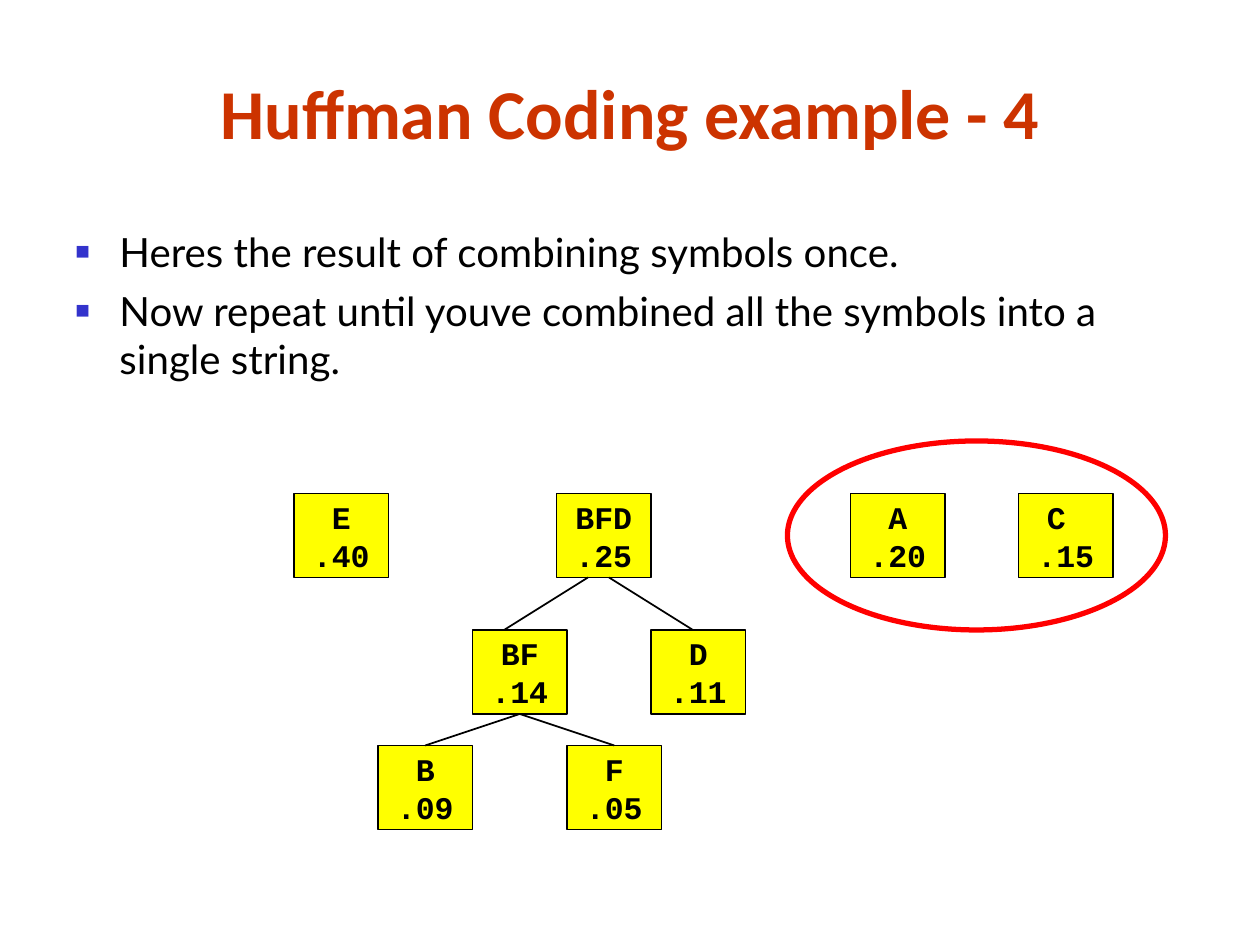
"""Build the Huffman coding slide: a title, two bullets and the partly merged symbol tree."""
from lxml import etree
from pptx import Presentation
from pptx.dml.color import RGBColor
from pptx.enum.shapes import MSO_CONNECTOR, MSO_SHAPE
from pptx.enum.text import MSO_ANCHOR, PP_ALIGN
from pptx.oxml.ns import qn
from pptx.util import Pt

RECTANGLE, OVAL = MSO_SHAPE.RECTANGLE, MSO_SHAPE.OVAL
STRAIGHT = MSO_CONNECTOR.STRAIGHT
MIDDLE, TOP = MSO_ANCHOR.MIDDLE, MSO_ANCHOR.TOP
CENTER, LEFT = PP_ALIGN.CENTER, PP_ALIGN.LEFT
BLACK = RGBColor(0, 0, 0)
RED = RGBColor(0xFF, 0, 0)
YELLOW = RGBColor(0xFF, 0xFF, 0)
RUST = RGBColor(0xCC, 0x33, 0)
BULLET_BLUE = "3333CC"

TITLE = "Huffman Coding example - 4"
BULLETS = [
    "Heres the result of combining symbols once.",
    "Now repeat until youve combined all the symbols into a single string.",
]
ROW_TOPS = [282, 360, 426]
NODE_WIDTH, NODE_HEIGHT = 54, 48
NODES = [
    ("C ", ".15", 582, 0),
    ("A", ".20", 486, 0),
    ("E", ".40", 168, 0),
    ("BFD", ".25", 318, 0),
    ("D", ".11", 372, 1),
    ("BF", ".14", 270, 1),
    ("F", ".05", 324, 2),
    ("B", ".09", 216, 2),
]
JOINED_BRANCHES = [("BF", "B"), ("BF", "F")]
LOOSE_BRANCHES = [((348, 330), (396, 360)), ((336, 330), (288, 360))]
NEXT_PAIR = (450, 252, 216, 108)


def add_run(paragraph, text, font, size, color, bold=False):
    run = paragraph.add_run()
    run.text = text
    run.font.name, run.font.size, run.font.bold = font, Pt(size), bold
    run.font.color.rgb = color


def add_bullet(paragraph):
    properties = paragraph._p.get_or_add_pPr()
    properties.set("marL", str(Pt(25.2)))
    properties.set("indent", str(-Pt(25.2)))
    color = etree.SubElement(properties, qn("a:buClr"))
    etree.SubElement(color, qn("a:srgbClr"), val=BULLET_BLUE)
    etree.SubElement(properties, qn("a:buSzPct"), val="60000")
    etree.SubElement(properties, qn("a:buFont"), typeface="Arial")
    etree.SubElement(properties, qn("a:buChar"), char="■")


def add_node(slide, symbol, weight, left, row):
    node = slide.shapes.add_shape(
        RECTANGLE, Pt(left), Pt(ROW_TOPS[row]), Pt(NODE_WIDTH), Pt(NODE_HEIGHT))
    node.shadow.inherit = False
    node.fill.solid()
    node.fill.fore_color.rgb = YELLOW
    node.line.color.rgb, node.line.width = BLACK, Pt(1)
    frame = node.text_frame
    frame.word_wrap, frame.vertical_anchor = False, MIDDLE
    for paragraph, text in ((frame.paragraphs[0], symbol), (frame.add_paragraph(), weight)):
        paragraph.alignment = CENTER
        add_run(paragraph, text, "Courier New", 18, BLACK, True)
    return node


def add_branch(slide, start=(0, 0), end=(0, 0)):
    branch = slide.shapes.add_connector(STRAIGHT, *(Pt(v) for v in (*start, *end)))
    branch.line.color.rgb, branch.line.width = BLACK, Pt(1)
    etree.SubElement(branch._element.spPr, qn("a:effectLst"))
    return branch


def main():
    deck = Presentation()
    deck.slide_width, deck.slide_height = Pt(720), Pt(540)
    slide = deck.slides.add_slide(deck.slide_layouts[5])

    title = slide.shapes.title
    title.left, title.top, title.width, title.height = Pt(54), Pt(36), Pt(612), Pt(55.4)
    title.text_frame.vertical_anchor = MIDDLE
    heading = title.text_frame.paragraphs[0]
    heading.alignment = CENTER
    add_run(heading, TITLE, "Calibri", 40, RUST, True)

    body = slide.shapes.add_textbox(Pt(36), Pt(102), Pt(648), Pt(119.5)).text_frame
    body.word_wrap, body.vertical_anchor, body.margin_top = True, TOP, Pt(28)
    for index, text in enumerate(BULLETS):
        paragraph = body.add_paragraph() if index else body.paragraphs[0]
        add_bullet(paragraph)
        paragraph.alignment = LEFT
        if index:
            paragraph.space_before = Pt(5.8)
        add_run(paragraph, text, "Lato", 23, BLACK)

    nodes = {entry[0]: add_node(slide, *entry) for entry in NODES}
    for parent, child in JOINED_BRANCHES:
        branch = add_branch(slide)
        branch.begin_connect(nodes[parent], 2)
        branch.end_connect(nodes[child], 0)
    for start, end in LOOSE_BRANCHES:
        add_branch(slide, start, end)

    ring = slide.shapes.add_shape(OVAL, *(Pt(v) for v in NEXT_PAIR))
    ring.shadow.inherit = False
    ring.fill.background()
    ring.line.color.rgb, ring.line.width = RED, Pt(3)

    deck.save("out.pptx")


if __name__ == "__main__":
    main()
